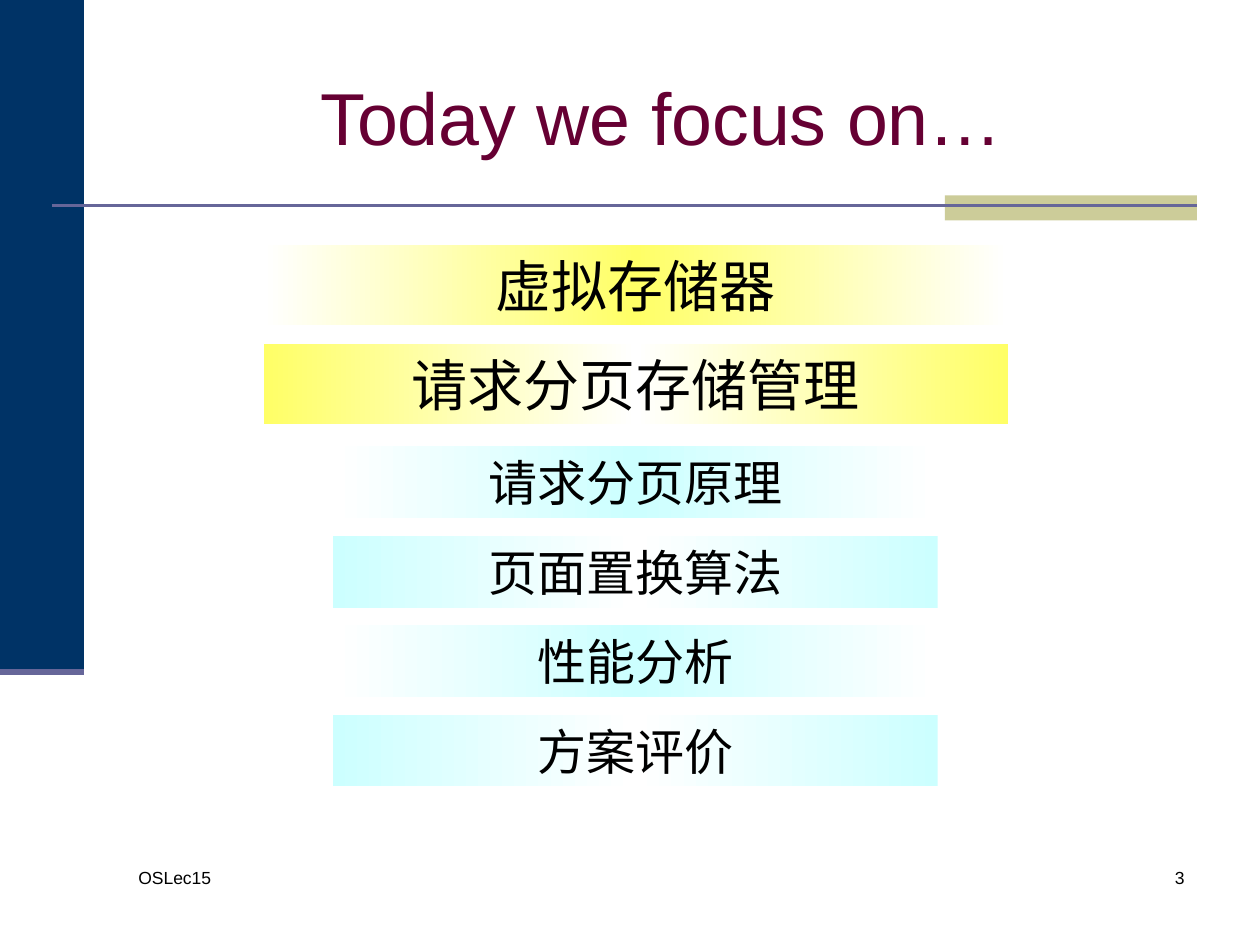
from lxml import etree
from pptx import Presentation
from pptx.dml.color import RGBColor
from pptx.enum.shapes import MSO_CONNECTOR, MSO_SHAPE
from pptx.enum.text import MSO_ANCHOR, PP_ALIGN
from pptx.oxml import parse_xml
from pptx.oxml.ns import nsdecls, qn
from pptx.util import Inches, Pt

RECTANGLE, STRAIGHT = MSO_SHAPE.RECTANGLE, MSO_CONNECTOR.STRAIGHT
LEFT, CENTER, RIGHT = PP_ALIGN.LEFT, PP_ALIGN.CENTER, PP_ALIGN.RIGHT
TOP, MIDDLE = MSO_ANCHOR.TOP, MSO_ANCHOR.MIDDLE

WIDTH, HEIGHT = Inches(10), Inches(7.5)
COLUMNS, ROWS = 120, 90
TITLE_ONLY = 5
FONT = "Arial"
BLACK, WHITE, YELLOW, CYAN = "000000", "FFFFFF", "FFFF66", "CCFFFF"
NAVY, KHAKI, SLATE, MAROON = "003366", "CCCC99", "666699", "660033"
TOPICS = ["虚拟存储器", "请求分页存储管理"]
SUBTOPICS = ["请求分页原理", "页面置换算法", "性能分析", "方案评价"]


def color(value):
    """Turn a hex string into a colour."""
    return RGBColor.from_string(value)


def grid(left, top, width, height):
    """Turn grid columns and rows into slide lengths."""
    column, row = WIDTH / COLUMNS, HEIGHT / ROWS
    return [round(n) for n in (left * column, top * row, width * column, height * row)]


def write(shape, text, size, align, hue=BLACK, anchor=TOP):
    """Set one formatted paragraph in a shape."""
    frame = shape.text_frame
    frame.word_wrap = True
    frame.vertical_anchor = anchor
    frame.text = text
    para = frame.paragraphs[0]
    para.alignment = align
    for span in para.runs:
        span.font.name = FONT
        span.font.size = Pt(size)
        span.font.color.rgb = color(hue)


def add_rectangle(page, box):
    """Add a rectangle without outline or shadow."""
    shape = page.shapes.add_shape(RECTANGLE, *grid(*box))
    shape.shadow.inherit = False
    shape.line.fill.background()
    return shape


def add_panel(page, box, hue):
    """Add a plain coloured rectangle."""
    shape = add_rectangle(page, box)
    shape.fill.solid()
    shape.fill.fore_color.rgb = color(hue)


def add_rule(page, left, top, width, weight):
    """Add a horizontal slate line."""
    x, y, length, _ = grid(left, top, width, 0)
    line = page.shapes.add_connector(STRAIGHT, x, y, x + length, y)
    line.line.color.rgb = color(SLATE)
    line.line.width = Pt(weight)
    etree.SubElement(line._element.spPr, qn("a:effectLst"))


def fill_gradient(shape, edge, middle):
    """Fill a shape with a gradient mirrored about its middle."""
    stops = "".join(
        f'<a:gs pos="{position}"><a:srgbClr val="{hue}"/></a:gs>'
        for position, hue in ((0, edge), (50000, middle), (100000, edge))
    )
    gradient = parse_xml(
        f'<a:gradFill {nsdecls("a")} rotWithShape="1"><a:gsLst>{stops}</a:gsLst>'
        '<a:lin ang="0" scaled="1"/></a:gradFill>'
    )
    shape._element.spPr.find(qn("a:prstGeom")).addnext(gradient)


def add_banners(page, box, pitch, texts, size, hue):
    """Stack banners from the given box, alternating the gradient direction."""
    left, top, width, height = box
    for index, text in enumerate(texts):
        banner = add_rectangle(page, (left, top + index * pitch, width, height))
        edge, middle = (hue, WHITE) if index % 2 else (WHITE, hue)
        fill_gradient(banner, edge, middle)
        write(banner, text, size, CENTER, anchor=MIDDLE)


def add_frame(page):
    """Add the side panel, the accent and the two rules."""
    add_panel(page, (0, 0, 8, 64), NAVY)
    add_panel(page, (90, 18.6, 24, 2.4), KHAKI)
    add_rule(page, 5, 19.6, 109, 1.5)
    add_rule(page, 0, 64, 8, 3.5)


def add_title(page, box, text):
    """Place and format the title placeholder."""
    title = page.shapes.title
    title.left, title.top, title.width, title.height = grid(*box)
    write(title, text, 42, CENTER, MAROON, MIDDLE)


def add_footer(page, box, text, align):
    """Add one small footer text."""
    write(page.shapes.add_textbox(*grid(*box)), text, 10, align)


def main():
    """Build the agenda slide."""
    deck = Presentation()
    deck.slide_width, deck.slide_height = WIDTH, HEIGHT
    page = deck.slides.add_slide(deck.slide_layouts[TITLE_ONLY])
    add_frame(page)
    add_footer(page, (12, 82, 26, 6), "OSLec15", LEFT)
    add_footer(page, (89, 82, 25, 6), "3", RIGHT)
    add_title(page, (12, 3.6, 102, 15), "Today we focus on…")
    add_banners(page, (25.1, 23.3, 70.9, 7.65), 9.45, TOPICS, 32, YELLOW)
    add_banners(page, (31.7, 42.5, 57.6, 6.85), 8.52, SUBTOPICS, 28, CYAN)
    deck.save("out.pptx")


if __name__ == "__main__":
    main()
